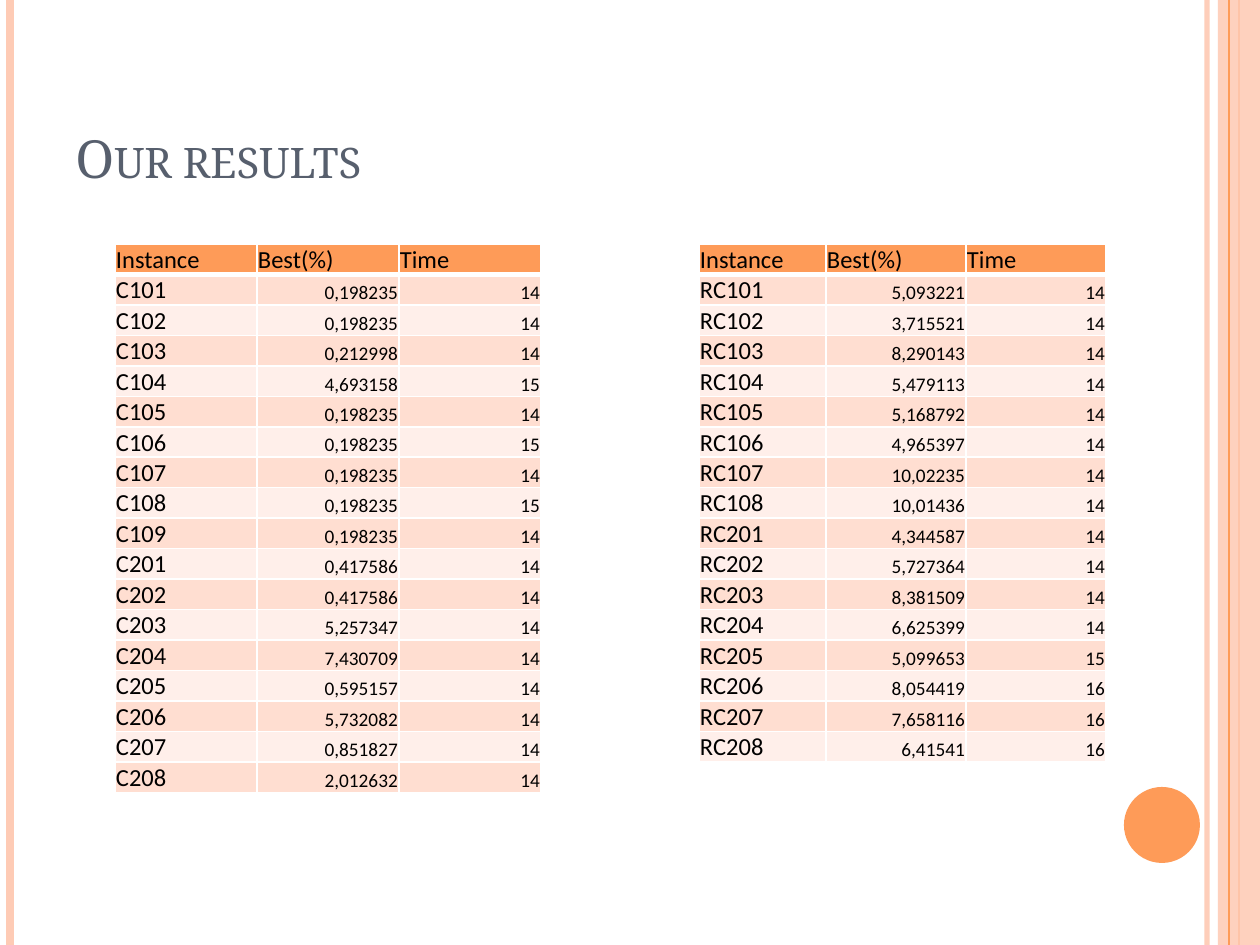
from lxml import etree
from pptx import Presentation
from pptx.dml.color import RGBColor
from pptx.enum.shapes import MSO_CONNECTOR, MSO_SHAPE
from pptx.enum.text import MSO_ANCHOR, PP_ALIGN
from pptx.oxml.ns import qn
from pptx.util import Pt

LINE, RECT, OVAL = MSO_CONNECTOR.STRAIGHT, MSO_SHAPE.RECTANGLE, MSO_SHAPE.OVAL
BOTTOM, LEFT, RIGHT = MSO_ANCHOR.BOTTOM, PP_ALIGN.LEFT, PP_ALIGN.RIGHT
PX = 914400 // 126
WIDE, HIGH = 1260, 945

# Content
TITLE = "Our results"
HEAD = ("Instance", "Best(%)", "Time")
C_ROWS = [
    ("C101", "0,198235", "14"), ("C102", "0,198235", "14"),
    ("C103", "0,212998", "14"), ("C104", "4,693158", "15"),
    ("C105", "0,198235", "14"), ("C106", "0,198235", "15"),
    ("C107", "0,198235", "14"), ("C108", "0,198235", "15"),
    ("C109", "0,198235", "14"), ("C201", "0,417586", "14"),
    ("C202", "0,417586", "14"), ("C203", "5,257347", "14"),
    ("C204", "7,430709", "14"), ("C205", "0,595157", "14"),
    ("C206", "5,732082", "14"), ("C207", "0,851827", "14"),
    ("C208", "2,012632", "14"),
]
RC_ROWS = [
    ("RC101", "5,093221", "14"), ("RC102", "3,715521", "14"),
    ("RC103", "8,290143", "14"), ("RC104", "5,479113", "14"),
    ("RC105", "5,168792", "14"), ("RC106", "4,965397", "14"),
    ("RC107", "10,02235", "14"), ("RC108", "10,01436", "14"),
    ("RC201", "4,344587", "14"), ("RC202", "5,727364", "14"),
    ("RC203", "8,381509", "14"), ("RC204", "6,625399", "14"),
    ("RC205", "5,099653", "15"), ("RC206", "8,054419", "16"),
    ("RC207", "7,658116", "16"), ("RC208", "6,41541", "16"),
]

# Format: tables are (left, column widths, rows), rules are (x, colour, points, alpha)
COLORS = {"peach": "FECBB5", "orange": "FE9B58", "slate": "575F6D", "black": "000000",
          "white": "FFFFFF", "odd": "FFDED1", "even": "FFEFEA"}
TABLES = [(115, (142, 142, 142), C_ROWS), (699, (127, 140, 140), RC_ROWS)]
TOP, ROW = 244, 30
RULES = [(1207, "peach", 3, 93), (10, "peach", 4.5, 100), (1239, "orange", 1.5, 100)]
EDGE = (1229, "orange", 0.75, 100)
CELL = {"margin_left": PX, "margin_right": PX, "margin_top": PX, "margin_bottom": 0,
        "vertical_anchor": BOTTOM}
NAME = {"name": "Calibri", "size": Pt(14)}
VALUE = {"name": "Calibri", "size": Pt(11)}
HEADING = {"name": "Noto Serif", "size": Pt(30)}

deck = Presentation()
deck.slide_width, deck.slide_height = WIDE * PX, HIGH * PX
slide = deck.slides.add_slide(deck.slide_layouts[6])
shapes = slide.shapes


def rgb(key):
    return RGBColor.from_string(COLORS[key])


def apply(target, values):
    for key, value in values.items():
        setattr(target, key, value)


def fade(part, alpha):
    if alpha < 100:
        color = next(part.iter(qn("a:srgbClr")))
        etree.SubElement(color, qn("a:alpha"), val=str(alpha * 1000))


def add_rule(x, color, points, alpha):
    rule = shapes.add_connector(LINE, x * PX, 0, x * PX, HIGH * PX)
    rule.line.color.rgb = rgb(color)
    rule.line.width = Pt(points)
    props = rule._element.spPr
    fade(props, alpha)
    etree.SubElement(props, qn("a:effectLst"))


def add_block(kind, box, color, alpha=100):
    block = shapes.add_shape(kind, *(n * PX for n in box))
    block.shadow.inherit = False
    block.fill.solid()
    block.fill.fore_color.rgb = rgb(color)
    block.line.fill.background()
    fade(block._element.spPr, alpha)


def write(frame, text, font, color, align=LEFT):
    para = frame.paragraphs[0]
    para.alignment = align
    run = para.add_run()
    run.text = text
    apply(run.font, font)
    run.font.color.rgb = rgb(color)
    return run


def add_border(cell, side, points):
    props = cell._tc.get_or_add_tcPr()
    line = etree.SubElement(props, qn("a:ln" + side), w=str(Pt(points)))
    fill = etree.SubElement(line, qn("a:solidFill"))
    etree.SubElement(fill, qn("a:srgbClr"), val=COLORS["white"])


def add_grid(left, widths, rows):
    rows = [HEAD] + rows
    table = shapes.add_table(len(rows), len(widths), left * PX, TOP * PX,
                             sum(widths) * PX, len(rows) * ROW * PX).table
    for col, width in zip(table.columns, widths):
        col.width = width * PX
    for r, row in enumerate(rows):
        table.rows[r].height = ROW * PX
        shade = "orange" if r == 0 else "odd" if r % 2 else "even"
        thick = {0: "B", 1: "T"}.get(r)
        for c, text in enumerate(row):
            cell = table.cell(r, c)
            apply(cell, CELL)
            for side in "LRTB":
                add_border(cell, side, 3 if side == thick else 1)
            cell.fill.solid()
            cell.fill.fore_color.rgb = rgb(shade)
            number = r > 0 and c > 0
            write(cell.text_frame, text, VALUE if number else NAME, "black",
                  RIGHT if number else LEFT)


# Side bands and circle
for rule in RULES:
    add_rule(*rule)
add_block(RECT, (1218, 0, 42, HIGH), "peach", 87)
add_rule(*EDGE)
add_block(OVAL, (1124, 787, 76, 76), "orange")

# Title
frame = shapes.add_textbox(63 * PX, 38 * PX, 1029 * PX, 157 * PX).text_frame
apply(frame, {"word_wrap": True, "vertical_anchor": BOTTOM})
title = write(frame, TITLE, HEADING, "slate")
title._r.get_or_add_rPr().set("cap", "small")

# Result tables
for table in TABLES:
    add_grid(*table)

deck.save("out.pptx")
